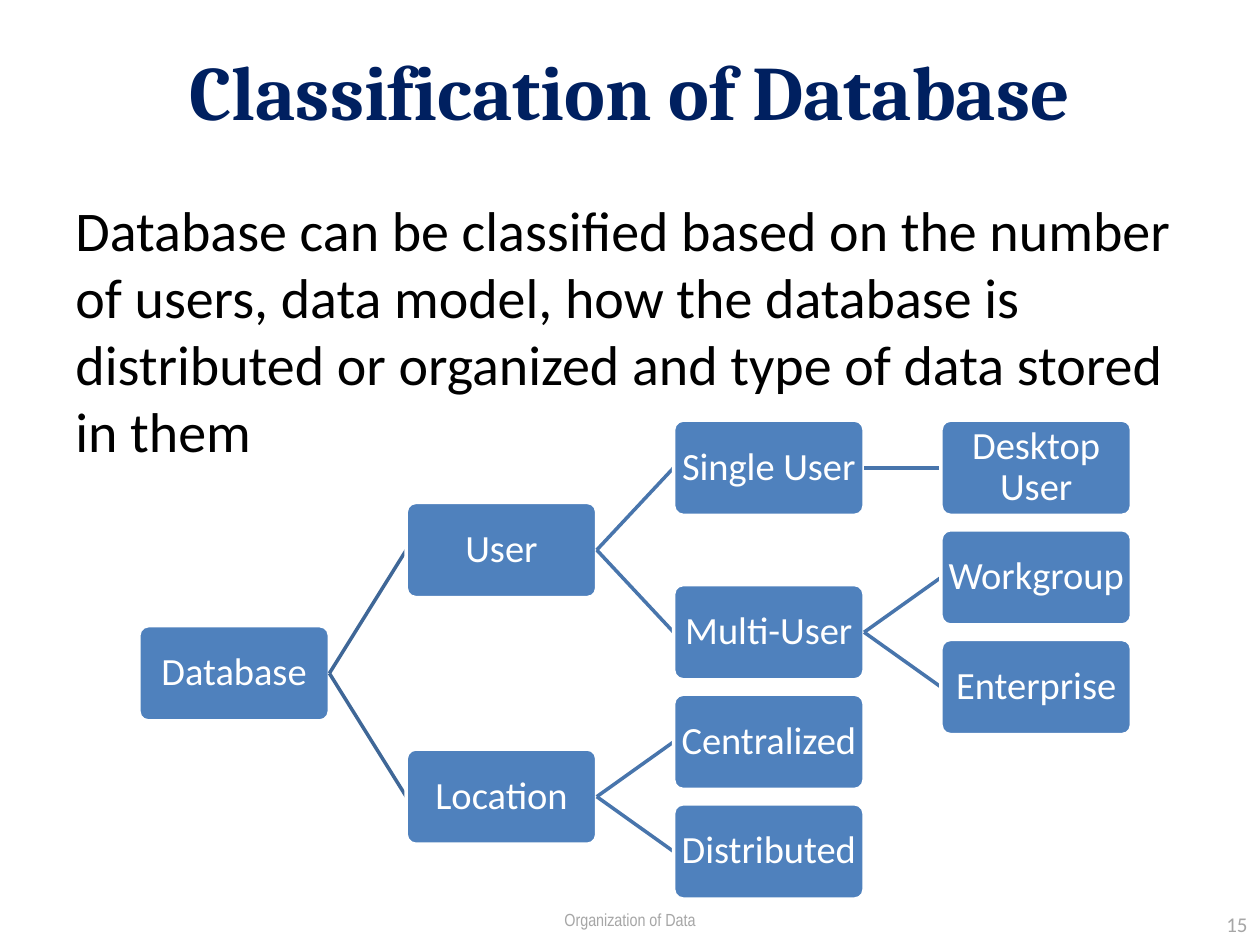
import pptx
import pptx.util
import pptx.dml.color
import pptx.enum.shapes
import pptx.enum.text
import lxml.etree

Cm, Pt = pptx.util.Cm, pptx.util.Pt
RGB = pptx.dml.color.RGBColor.from_string
ALIGN, ANCHOR = pptx.enum.text.PP_ALIGN, pptx.enum.text.MSO_ANCHOR

COLORS = {"title": "002060", "body": "000000", "footer": "A6A6A6", "box": "4F81BD",
          "white": "FFFFFF", "root_line": "3F6797", "branch_line": "4875AC"}


def set_text(sp, text, font, size, color, align, anchor=ANCHOR.TOP, bold=False):
    tf = sp.text_frame
    tf.word_wrap = True
    tf.vertical_anchor = anchor
    p = tf.paragraphs[0]
    p.alignment = align
    r = p.add_run()
    r.text = text
    r.font.name, r.font.size, r.font.bold = font, Pt(size), bold
    r.font.color.rgb = RGB(COLORS[color])
    return p


prs = pptx.Presentation()
prs.slide_width, prs.slide_height = Cm(25.4), Cm(19.05)
s = prs.slides.add_slide(prs.slide_layouts[5])

# Title
title = s.shapes.title
title.left, title.top, title.width, title.height = Cm(1.27), Cm(0), Cm(22.86), Cm(3.6)
set_text(title, "Classification of Database", "Cambria", 44, "title",
         ALIGN.CENTER, ANCHOR.MIDDLE, True)

# Body text
sp = s.shapes.add_textbox(Cm(1.27), Cm(3.81), Cm(23.28), Cm(14.4))
set_text(sp, "Database can be classified based on the number of users, data model, how the "
         "database is distributed or organized and type of data stored in them",
         "Calibri", 32, "body", ALIGN.LEFT)

# Footer and slide number
sp = s.shapes.add_textbox(Cm(7.2), Cm(18.2), Cm(11), Cm(0.8))
set_text(sp, "Organization of Data", "Arial Narrow", 10, "footer", ALIGN.CENTER)
sp = s.shapes.add_textbox(Cm(18.2), Cm(18.2), Cm(7.2), Cm(0.85))
set_text(sp, "15", "Calibri", 12, "footer", ALIGN.RIGHT, ANCHOR.MIDDLE)

# Tree: name, parent, column, row (a parent sits midway between its children)
NODES = [
    ("Database", None, 0, 1.875),
    ("User", "Database", 1, 0.75),
    ("Single User", "User", 2, 0),
    ("Desktop User", "Single User", 3, 0),
    ("Multi-User", "User", 2, 1.5),
    ("Workgroup", "Multi-User", 3, 1),
    ("Enterprise", "Multi-User", 3, 2),
    ("Location", "Database", 1, 3),
    ("Centralized", "Location", 2, 2.5),
    ("Distributed", "Location", 2, 3.5),
]
LEFT, TOP, COL_STEP, ROW_STEP = 2.8, 8.47, 5.39, 2.21
BOX_W, BOX_H = 3.84, 1.92

anchors = {}
for name, parent, col, row in NODES:
    x, y = LEFT + col * COL_STEP, TOP + row * ROW_STEP
    mid = y + BOX_H / 2
    anchors[name] = (x + BOX_W, mid)

    # Line from the parent's right edge
    if parent:
        x0, y0 = anchors[parent]
        line = s.shapes.add_connector(pptx.enum.shapes.MSO_CONNECTOR.STRAIGHT,
                                      Cm(x0), Cm(y0), Cm(x), Cm(mid))
        line.line.color.rgb = RGB(COLORS["root_line" if col == 1 else "branch_line"])
        line.line.width = Pt(2)
        lxml.etree.SubElement(line._element.spPr, pptx.oxml.ns.qn("a:effectLst"))

    # Box, with slim margins so that each word fits on one line
    sp = s.shapes.add_shape(pptx.enum.shapes.MSO_SHAPE.ROUNDED_RECTANGLE,
                            Cm(x), Cm(y), Cm(BOX_W), Cm(BOX_H))
    sp.adjustments[0] = 0.1
    sp.shadow.inherit = False
    sp.fill.solid()
    sp.fill.fore_color.rgb = RGB(COLORS["box"])
    sp.line.color.rgb = RGB(COLORS["white"])
    sp.line.width = Pt(2)
    tf = sp.text_frame
    tf.margin_left = tf.margin_right = tf.margin_top = tf.margin_bottom = Cm(0.03)
    p = set_text(sp, name, "Calibri", 22, "white", ALIGN.CENTER, ANCHOR.MIDDLE)
    p.line_spacing = 0.9

prs.save("out.pptx")
